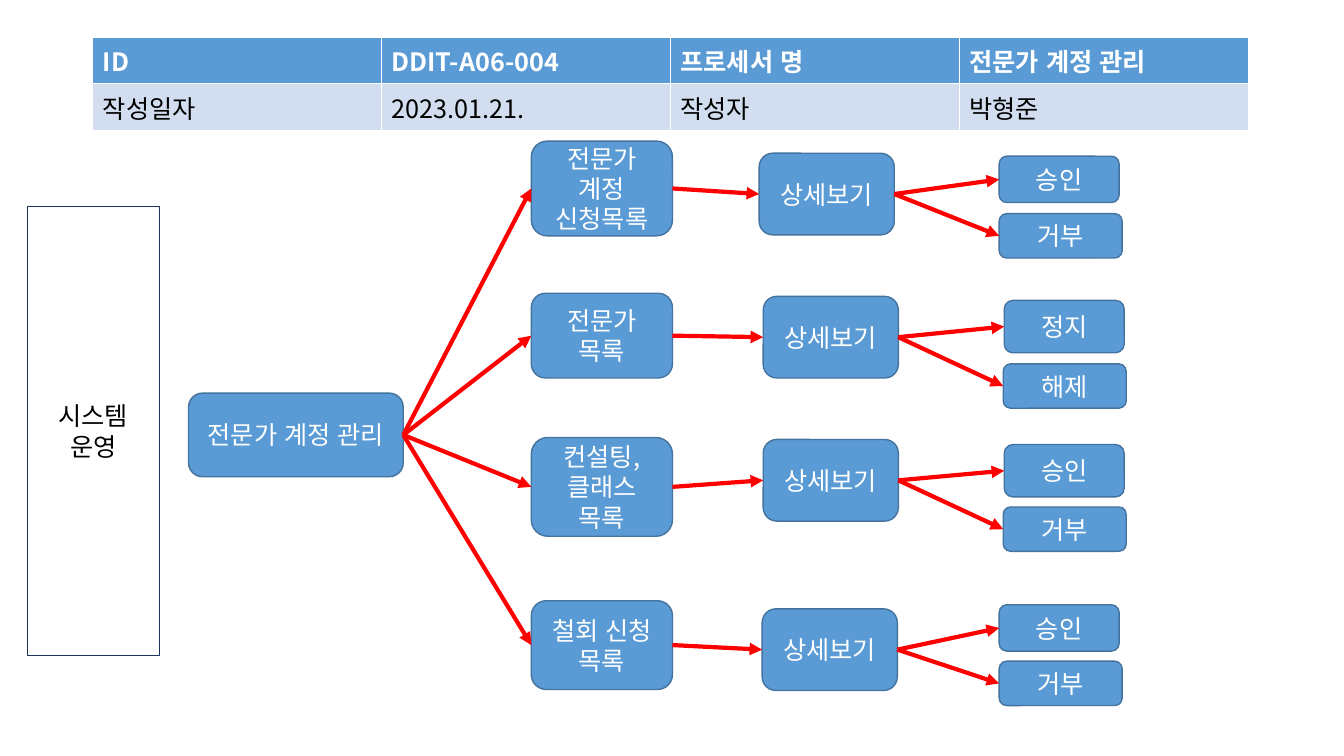
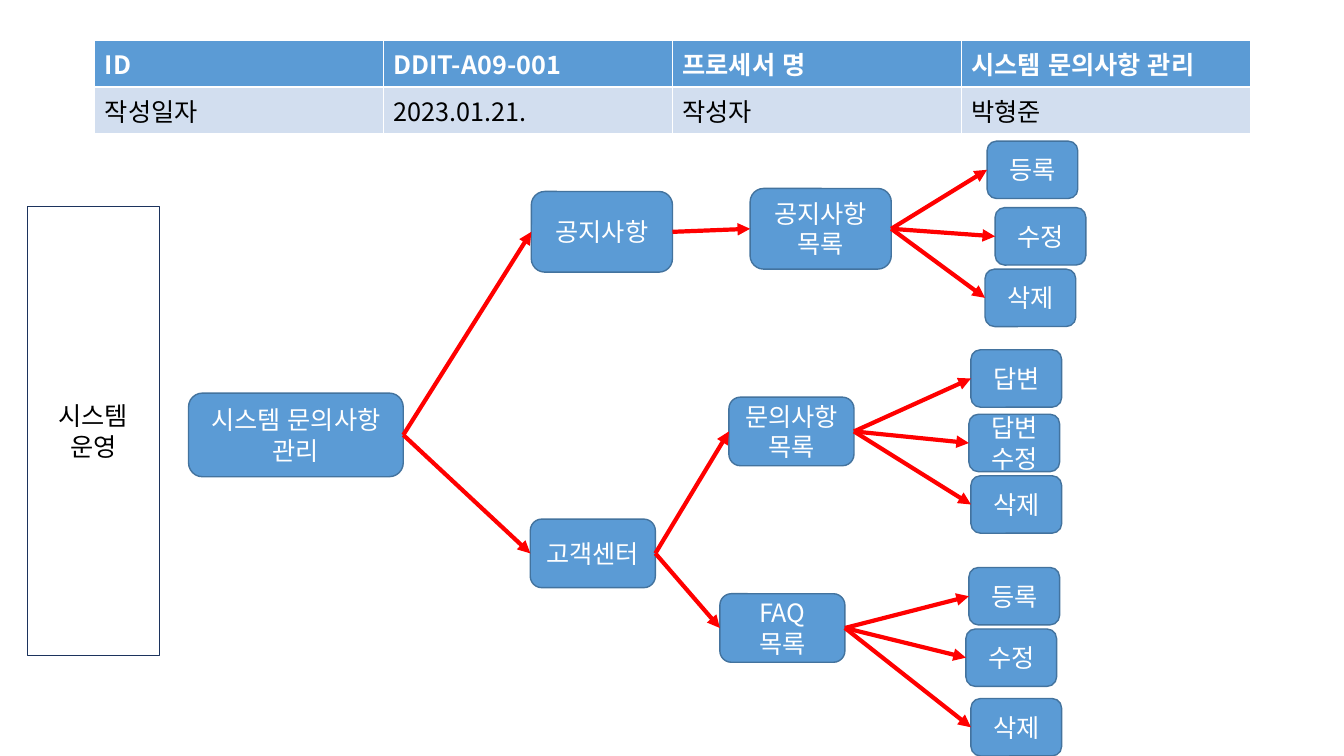
from dataclasses import dataclass
from functools import partial
from lxml.etree import SubElement
from pptx import Presentation
from pptx.dml.color import RGBColor
from pptx.enum.lang import MSO_LANGUAGE_ID
from pptx.enum.shapes import MSO_CONNECTOR, MSO_SHAPE
from pptx.enum.text import MSO_ANCHOR, PP_ALIGN
from pptx.oxml.ns import qn
from pptx.util import Inches, Pt

FONT = "Noto Sans CJK KR"
BLUE, BLUE_EDGE, PALE_BLUE = "5B9BD5", "43739E", "D2DEEF"
WHITE, BLACK, NAVY, RED = "FFFFFF", "000000", "1C335D", "FF0000"
RIGHT_SITE, LEFT_SITE = 3, 1
LANE_BOX = (0.27, 2.05, 1.31, 4.45)
FLOW_LEFT, FLOW_TOP = 1.87, 1.4


@dataclass
class Step:
    """One box of the flow, placed relative to the flow area."""
    text: str
    left: float
    top: float
    width: float
    height: float
    children: tuple = ()


def color(value):
    """Turn a hex string into a colour."""
    return RGBColor.from_string(value)


def write_text(frame, text, fill=WHITE, size=18, bold=False, align=PP_ALIGN.CENTER):
    """Write one formatted paragraph; a vertical tab breaks the line."""
    frame.word_wrap = True
    paragraph = frame.paragraphs[0]
    paragraph.text = text
    paragraph.alignment = align
    for run in paragraph.runs:
        font = run.font
        font.size, font.bold = Pt(size), bold
        font.color.rgb = color(fill)
        font.name = FONT
        font.language_id = MSO_LANGUAGE_ID.KOREAN
        SubElement(font._element, qn("a:ea"), typeface=FONT)


def add_box(slide, kind, box, text, fill=BLUE, edge=BLUE_EDGE, edge_width=1, text_fill=WHITE):
    """Add a filled and outlined shape with centred text."""
    shape = slide.shapes.add_shape(kind, *map(Inches, box))
    shape.shadow.inherit = False
    shape.fill.solid()
    shape.fill.fore_color.rgb = color(fill)
    shape.line.color.rgb = color(edge)
    shape.line.width = Pt(edge_width)
    shape.text_frame.vertical_anchor = MSO_ANCHOR.MIDDLE
    write_text(shape.text_frame, text, fill=text_fill)
    return shape


def add_arrow(slide, source, target):
    """Join the right side of one box to the left side of the next."""
    connector = slide.shapes.add_connector(MSO_CONNECTOR.STRAIGHT, 0, 0, 0, 0)
    connector.begin_connect(source, RIGHT_SITE)
    connector.end_connect(target, LEFT_SITE)
    connector.line.color.rgb = color(RED)
    connector.line.width = Pt(3)
    properties = connector._element.spPr
    SubElement(properties.find(qn("a:ln")), qn("a:tailEnd"), type="triangle")
    SubElement(properties, qn("a:effectLst"))


def add_borders(cell):
    """Give a cell thin white borders on all sides."""
    properties = cell._tc.get_or_add_tcPr()
    for side in ("lnL", "lnR", "lnT", "lnB"):
        line = SubElement(properties, qn(f"a:{side}"), w=str(Pt(1)))
        line_fill = SubElement(line, qn("a:solidFill"))
        SubElement(line_fill, qn("a:srgbClr"), val=WHITE)


def add_header_table(slide, left, top, process_id, process_name):
    """Add the table that identifies the process."""
    rows = (("ID", process_id, "프로세서 명", process_name),
            ("작성일자", "2023.01.21.", "작성자", "박형준"))
    styles = ((BLUE, WHITE, True), (PALE_BLUE, BLACK, False))
    heights = (0.43, 0.41)
    table = slide.shapes.add_table(2, 4, Inches(left), Inches(top),
                                   Inches(11.46), Inches(sum(heights))).table
    for row, texts, height, (fill, text_fill, bold) in zip(table.rows, rows, heights, styles):
        row.height = Inches(height)
        for cell, text in zip(row.cells, texts):
            add_borders(cell)
            cell.fill.solid()
            cell.fill.fore_color.rgb = color(fill)
            write_text(cell.text_frame, text, fill=text_fill, bold=bold, align=PP_ALIGN.LEFT)


def add_flow(slide, step, left, top):
    """Add a step and, joined by arrows, all the steps after it."""
    box = (left + step.left, top + step.top, step.width, step.height)
    shape = add_box(slide, MSO_SHAPE.ROUNDED_RECTANGLE, box, step.text)
    for child in step.children:
        add_arrow(slide, shape, add_flow(slide, child, left, top))
    return shape


def add_process_slide(presentation, table_left, table_top, process_id, process_name, branches):
    """Add a slide with its header table, lane and process flow."""
    slide = presentation.slides.add_slide(presentation.slide_layouts[6])
    add_header_table(slide, table_left, table_top, process_id, process_name)
    add_box(slide, MSO_SHAPE.RECTANGLE, LANE_BOX, "시스템\v운영",
            fill=WHITE, edge=NAVY, edge_width=0.25, text_fill=BLACK)
    root = Step(process_name, 0, 2.5, 2.13, 0.83, branches)
    add_flow(slide, root, FLOW_LEFT, FLOW_TOP)


listing = partial(Step, left=3.4, width=1.4)
detail = partial(Step, "상세보기", width=1.34, height=0.81)
upper_action = partial(Step, width=1.19)
lower_action = partial(Step, width=1.22, height=0.44)
notice = partial(Step, width=1.4, height=0.8)
support = partial(Step, width=1.24, height=0.68)
action = partial(Step, width=0.9, height=0.57)

account_branches = (
    listing("전문가 계정 신청목록", top=0, height=0.94, children=(
        detail(left=5.66, top=0.12, children=(
            upper_action("승인", 8.04, 0.15, height=0.46),
            lower_action("거부", 8.04, 0.72))),)),
    listing("전문가 목록", top=1.51, height=0.84, children=(
        detail(left=5.7, top=1.54, children=(
            upper_action("정지", 8.09, 1.58, height=0.52),
            lower_action("해제", 8.08, 2.21))),)),
    listing("컨설팅, 클래스 목록", top=2.94, height=0.98, children=(
        detail(left=5.7, top=2.96, children=(
            upper_action("승인", 8.09, 3.01, height=0.52),
            lower_action("거부", 8.08, 3.63))),)),
    listing("철회 신청 목록", top=4.56, height=0.88, children=(
        detail(left=5.69, top=4.64, children=(
            upper_action("승인", 8.04, 4.6, height=0.46),
            lower_action("거부", 8.04, 5.16))),)),
)

inquiry_branches = (
    notice("공지사항", 3.4, 0.5, children=(
        notice("공지사항 목록", 5.57, 0.47, children=(
            action("등록", 7.92, 0),
            action("수정", 8, 0.66),
            action("삭제", 7.9, 1.27))),)),
    support("고객센터", 3.39, 3.75, children=(
        support("문의사항목록", 5.36, 2.54, children=(
            action("답변", 7.76, 2.07),
            action("답변수정", 7.74, 2.71),
            action("삭제", 7.76, 3.32))),
        support("FAQ 목록", 5.27, 4.49, children=(
            action("등록", 7.74, 4.23),
            action("수정", 7.71, 4.84),
            action("삭제", 7.76, 5.53))))),
)

presentation = Presentation()
presentation.slide_width, presentation.slide_height = Inches(13.33), Inches(7.5)
add_process_slide(presentation, 0.92, 0.37, "DDIT-A06-004", "전문가 계정 관리", account_branches)
add_process_slide(presentation, 0.94, 0.4, "DDIT-A09-001", "시스템 문의사항 관리", inquiry_branches)
presentation.save("out.pptx")
